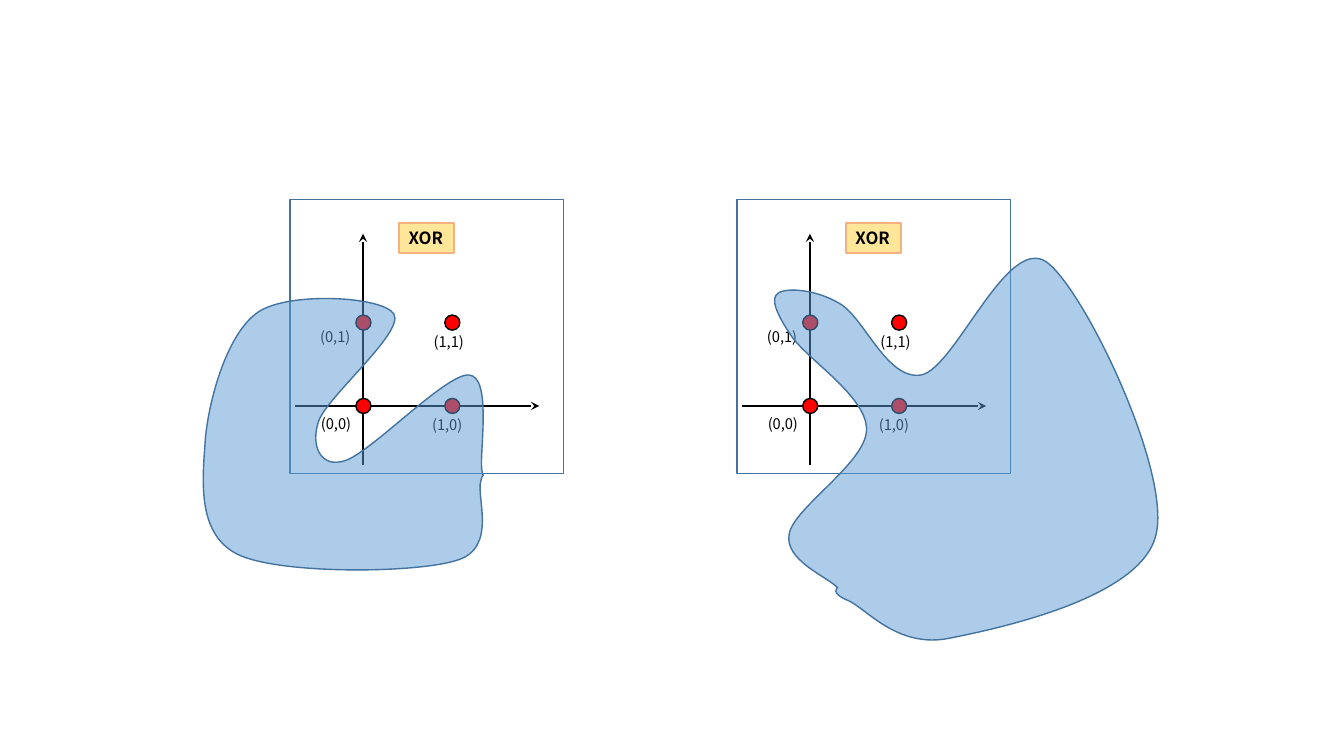
from pptx import Presentation
from pptx.dml.color import RGBColor
from pptx.enum.shapes import MSO_CONNECTOR, MSO_SHAPE as Preset
from pptx.enum.text import MSO_ANCHOR, MSO_AUTO_SIZE, PP_ALIGN
from pptx.oxml.ns import qn
from pptx.oxml.xmlchemy import OxmlElement
from pptx.util import Cm, Pt

COLORS = {
    "black": "000000", "dot": "FF0000", "edge": "43739E", "region": "5B9BD5",
    "title fill": "FFE699", "title edge": "F4B183",
}
FONT = "Noto Sans CJK KR"
PANEL_SHIFT = 11.26
ORIGIN_X, ORIGIN_Y = 9.16, 10.23
UNIT_X, UNIT_Y = 2.24, 2.1
DOT = 0.38

# Where each point's label starts, in cm on the left panel
LABELS = {(0, 1): (7.82, 8.13), (0, 0): (7.84, 10.32),
          (1, 0): (10.64, 10.36), (1, 1): (10.68, 8.26)}

# Decision regions: the frame (left, top, width, height), then a start point
# and Bezier curves (two controls and an end)
REGIONS = [
    ((5.13, 7.52, 7.06, 6.83),
     [(12.12, 12.12),
      (12.22, 11.73), (12.19, 12.24), (12.14, 11.81),
      (12.09, 11.35), (12.4, 9.47), (11.81, 9.45),
      (11.23, 9.42), (9.32, 11.43), (8.69, 11.61),
      (8.08, 11.81), (7.82, 11.23), (8.03, 10.62),
      (8.23, 10.01), (10.19, 8.38), (9.93, 7.92),
      (9.68, 7.47), (7.32, 7.34), (6.53, 7.85),
      (5.74, 8.36), (5.28, 10.01), (5.18, 11.02),
      (5.11, 12.04), (4.93, 13.44), (5.99, 13.97),
      (7.04, 14.48), (10.49, 14.45), (11.51, 14.12),
      (12.55, 13.82), (11.99, 12.5), (12.12, 12.12)]),
    ((19.51, 6.5, 9.68, 9.63),
     [(21.39, 15.14),
      (20.9, 14.94), (21.11, 14.81), (21.11, 14.81),
      (20.85, 14.53), (19.76, 14.12), (19.89, 13.46),
      (19.99, 12.8), (21.84, 11.66), (21.84, 10.82),
      (21.84, 9.98), (20.32, 9.04), (19.94, 8.46),
      (19.56, 7.9), (19.41, 7.52), (19.61, 7.39),
      (19.81, 7.24), (20.57, 7.29), (21.16, 7.65),
      (21.77, 7.98), (22.35, 9.6), (23.22, 9.45),
      (24.08, 9.27), (25.37, 5.92), (26.37, 6.6),
      (27.33, 7.29), (29.54, 11.91), (29.13, 13.49),
      (28.75, 15.06), (25.25, 15.82), (23.95, 16.08),
      (22.63, 16.36), (21.84, 15.34), (21.39, 15.14)]),
]


def paint(shape, fill=None, edge="black", width=1):
    shape.shadow.inherit = False
    if fill:
        shape.fill.solid()
        shape.fill.fore_color.rgb = RGBColor.from_string(COLORS[fill])
    else:
        shape.fill.background()
    shape.line.color.rgb = RGBColor.from_string(COLORS[edge])
    shape.line.width = Pt(width)


def write(box, text, size=10.5, bold=False, anchor=MSO_ANCHOR.TOP):
    frame = box.text_frame
    frame.word_wrap = False
    frame.auto_size = MSO_AUTO_SIZE.SHAPE_TO_FIT_TEXT
    frame.vertical_anchor = anchor
    para = frame.paragraphs[0]
    para.alignment = PP_ALIGN.LEFT
    span = para.add_run()
    span.text = text
    span.font.name = FONT
    span.font.size = Pt(size)
    span.font.bold = bold
    span.font.color.rgb = RGBColor.from_string(COLORS["black"])


deck = Presentation()
deck.slide_width, deck.slide_height = Cm(33.87), Cm(19.05)
page = deck.slides.add_slide(deck.slide_layouts[6])

for panel, (region_frame, region) in enumerate(REGIONS):
    shift = panel * PANEL_SHIFT

    # Axes
    axes = page.shapes.add_group_shape()
    for x1, y1, x2, y2 in [(7.44, ORIGIN_Y, 13.59, ORIGIN_Y),
                           (9.15, 11.72, 9.15, 5.89)]:
        axis = axes.shapes.add_connector(
            MSO_CONNECTOR.STRAIGHT, Cm(x1 + shift), Cm(y1), Cm(x2 + shift), Cm(y2))
        axis.line.color.rgb = RGBColor.from_string(COLORS["black"])
        axis.line.width = Pt(1.5)
        arrowhead = OxmlElement("a:tailEnd")
        arrowhead.set("type", "stealth")
        properties = axis._element.spPr
        properties.find(qn("a:ln")).append(arrowhead)
        properties.append(OxmlElement("a:effectLst"))

    # Input points
    for x, y in [(0, 0), (0, 1), (1, 0), (1, 1)]:
        dot = page.shapes.add_shape(
            Preset.OVAL, Cm(ORIGIN_X + x * UNIT_X - DOT / 2 + shift),
            Cm(ORIGIN_Y - y * UNIT_Y - DOT / 2), Cm(DOT), Cm(DOT))
        paint(dot, fill="dot")

    # Point labels
    for (x, y), (left, top) in LABELS.items():
        label = page.shapes.add_textbox(
            Cm(left + shift), Cm(top), Cm(1.47), Cm(0.71))
        write(label, f"({x},{y})")

    # Title tag and panel frame
    title = page.shapes.add_shape(
        Preset.RECTANGLE, Cm(10.05 + shift), Cm(5.61), Cm(1.4), Cm(0.76))
    paint(title, fill="title fill", edge="title edge", width=1.5)
    write(title, "XOR", size=12, bold=True, anchor=MSO_ANCHOR.MIDDLE)
    border = page.shapes.add_shape(
        Preset.RECTANGLE, Cm(7.31 + shift), Cm(5.03), Cm(6.9), Cm(6.9))
    paint(border, edge="edge")

    # Translucent decision region, whose straight segments become curves
    left, top, width, height = region_frame
    builder = page.shapes.build_freeform(Cm(region[0][0]), Cm(region[0][1]))
    builder.add_line_segments([(Cm(x), Cm(y)) for x, y in region[3::3]], close=True)
    area = builder.convert_to_shape()
    area.left, area.top, area.width, area.height = map(Cm, region_frame)
    outline = next(area._element.iter(qn("a:path")))
    outline.set("w", str(Cm(width)))
    outline.set("h", str(Cm(height)))
    for child in list(outline):
        outline.remove(child)
    steps = [("a:moveTo", region[:1])]
    steps += [("a:cubicBezTo", region[i:i + 3]) for i in range(1, len(region), 3)]
    for tag, points in steps + [("a:close", [])]:
        command = OxmlElement(tag)
        for x, y in points:
            point = OxmlElement("a:pt")
            point.set("x", str(Cm(x - left)))
            point.set("y", str(Cm(y - top)))
            command.append(point)
        outline.append(command)
    paint(area, fill="region", edge="edge")
    alpha = OxmlElement("a:alpha")
    alpha.set("val", "50000")
    area._element.spPr.find(qn("a:solidFill"))[0].append(alpha)

deck.save("out.pptx")
